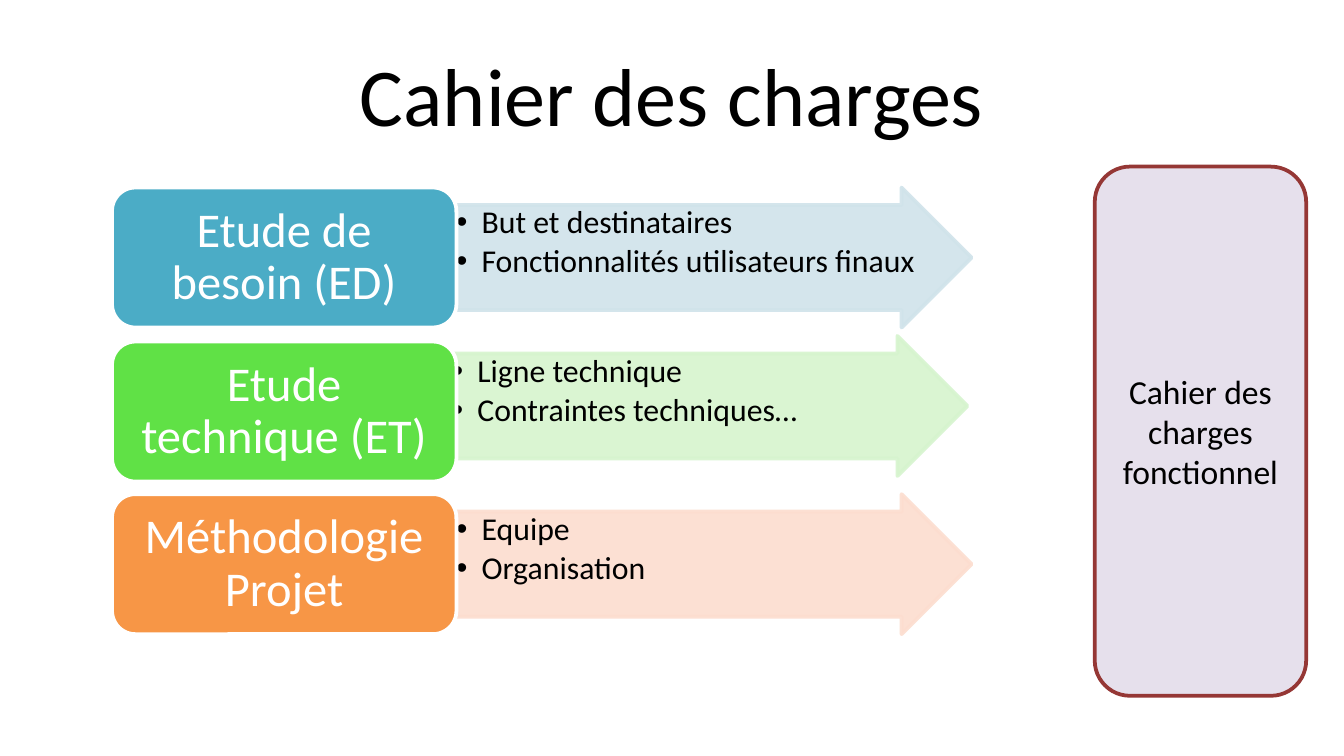
import pptx
import pptx.dml.color
import pptx.enum.shapes
import pptx.enum.text
import pptx.oxml
import pptx.oxml.ns
import pptx.util

SCALE = 9525
SHAPES = pptx.enum.shapes.MSO_SHAPE
ALIGN = pptx.enum.text.PP_ALIGN
ANCHOR = pptx.enum.text.MSO_ANCHOR
STUDIES = [
    ("Etude de besoin (ED)", "4BACC6", "D0E3EA", 325, 134,
     ["But et destinataires", "Fonctionnalités utilisateurs finaux"]),
    ("Etude technique (ET)", "60E146", "D6F4CE", 322, 240,
     ["Ligne technique", "Contraintes techniques…"]),
    ("Méthodologie Projet", "F79646", "FCDDCF", 325, 353,
     ["Equipe", "Organisation"]),
]


def px(length):
    return pptx.util.Emu(length * SCALE)


def rgb(color):
    return pptx.dml.color.RGBColor.from_string(color)


def element(tag, attributes):
    return pptx.oxml.parse_xml(f'<a:{tag} {pptx.oxml.ns.nsdecls("a")} {attributes}/>')


def write(frame, lines, size, color="000000", align=ALIGN.CENTER, anchor=ANCHOR.MIDDLE,
          margins=(10, 5, 10, 5), spacing=1.0, after=0, bullet_indent=0):
    frame.word_wrap = True
    frame.vertical_anchor = anchor
    frame.margin_left, frame.margin_top, frame.margin_right, frame.margin_bottom = map(px, margins)
    for index, line in enumerate(lines):
        paragraph = frame.add_paragraph() if index else frame.paragraphs[0]
        paragraph.alignment = align
        paragraph.line_spacing = spacing
        paragraph.space_after = pptx.util.Pt(after)
        words = paragraph.add_run()
        words.text = line
        words.font.name = "Calibri"
        words.font.size = pptx.util.Pt(size)
        words.font.color.rgb = rgb(color)
        if bullet_indent:
            properties = paragraph._p.get_or_add_pPr()
            properties.set("marL", str(px(bullet_indent)))
            properties.set("indent", str(-px(bullet_indent)))
            properties.append(element("buFont", 'typeface="Arial"'))
            properties.append(element("buChar", 'char="•"'))


class Board:
    """Style and current slide, with a method for each kind of element."""

    def __init__(self, slide):
        self.slide = slide
        self.line_width = pptx.util.Pt(2)

    def title(self, text, *box):
        heading = self.slide.shapes.add_textbox(*map(px, box))
        write(heading.text_frame, [text], 44)

    def block(self, preset, box, fill, line):
        block = self.slide.shapes.add_shape(preset, *map(px, box))
        block.shadow.inherit = False
        block.fill.solid()
        block.fill.fore_color.rgb = rgb(fill)
        block.line.width = self.line_width
        block.line.color.rgb = rgb(line)
        return block

    def arrow(self, points, color, *box):
        arrow = self.block(SHAPES.RIGHT_ARROW, box, color, color)
        arrow.adjustments[0] = 0.75
        arrow.adjustments[1] = 0.5
        for tone in arrow._element.spPr.iter(pptx.oxml.ns.qn("a:srgbClr")):
            tone.append(element("alpha", 'val="90000"'))
        write(arrow.text_frame, points, 17, align=ALIGN.LEFT, anchor=ANCHOR.TOP,
              margins=(1, 1, 1, 1), spacing=0.9, after=2.5, bullet_indent=18)

    def study(self, name, color, *box):
        study = self.block(SHAPES.ROUNDED_RECTANGLE, box, color, "FFFFFF")
        write(study.text_frame, [name], 26, color="FFFFFF", spacing=0.9)

    def result(self, text, *box):
        result = self.block(SHAPES.ROUNDED_RECTANGLE, box, "E6E0EC", "953735")
        write(result.text_frame, [text], 18)


def main():
    deck = pptx.Presentation()
    deck.slide_width, deck.slide_height = px(960), px(540)
    board = Board(deck.slides.add_slide(deck.slide_layouts[6]))
    board.title("Cahier des charges", 48, 22, 864, 90)
    for row, (name, color, tint, left, top, points) in enumerate(STUDIES):
        board.arrow(points, tint, left, top, 369, 100)
        board.study(name, color, 80, 134 + round(109.5 * row), 246, 100)
    board.result("Cahier des charges fonctionnel", 782, 119, 151, 378)
    deck.save("out.pptx")


if __name__ == "__main__":
    main()
